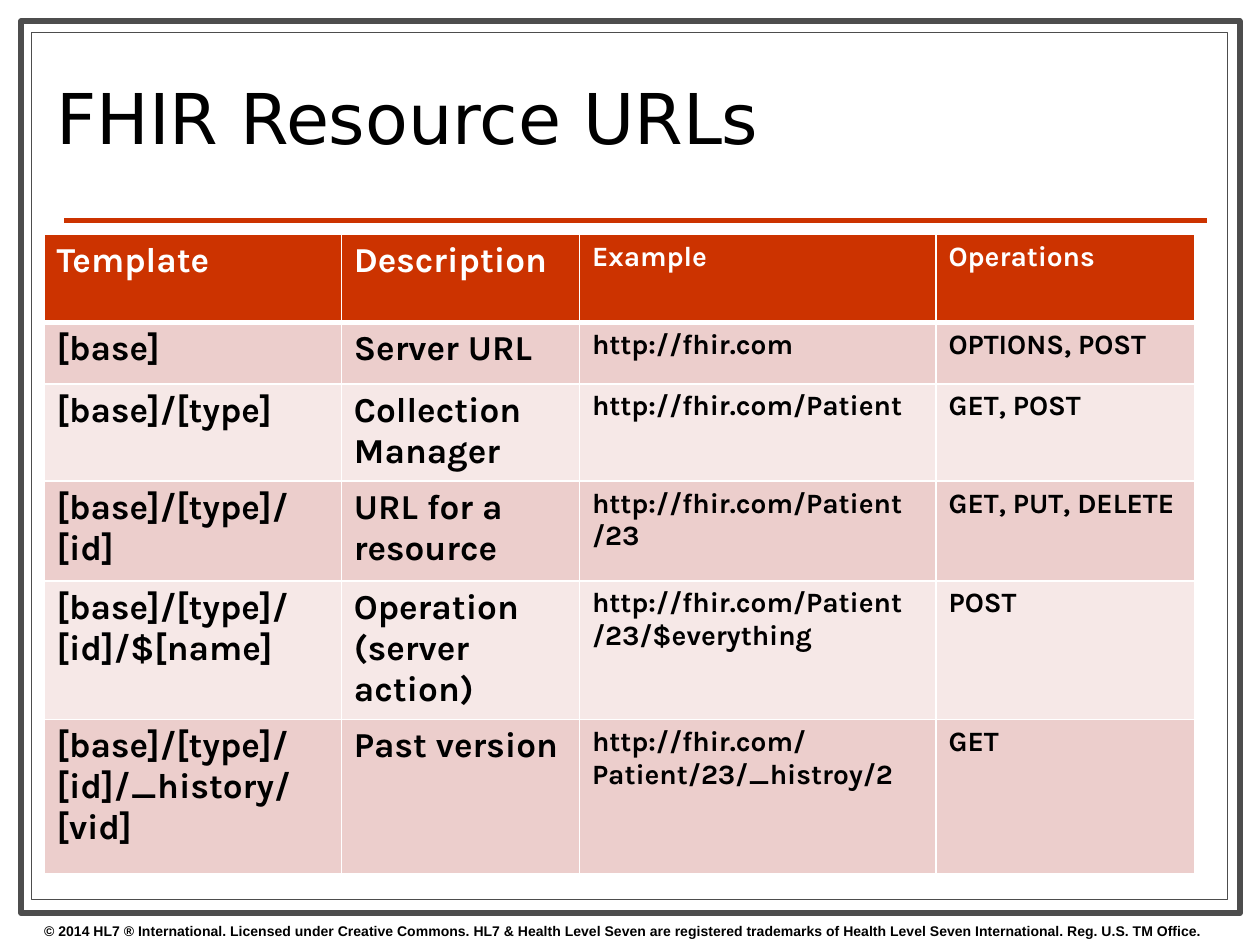
from dataclasses import dataclass
from typing import NamedTuple

from lxml.etree import SubElement
from pptx import Presentation
from pptx.dml.color import RGBColor
from pptx.enum.shapes import MSO_CONNECTOR, MSO_SHAPE
from pptx.enum.text import MSO_ANCHOR
from pptx.oxml.ns import qn
from pptx.util import Cm, Pt


class Box(NamedTuple):
    """A region of the slide, in centimetres."""
    left: float
    top: float
    width: float
    height: float

    def lengths(self):
        return [Cm(side) for side in self]


@dataclass(frozen=True)
class Theme:
    ink: str = "000000"
    paper: str = "FFFFFF"
    frame: str = "4D4D4D"
    accent: str = "CC3300"
    bands: tuple = ("ECCECC", "F6E8E7")
    title_font: str = "DejaVu Sans"
    table_font: str = "Karla"
    footer_font: str = "Arial"
    title_size: int = 40
    large_size: int = 20
    small_size: int = 16
    footer_size: int = 8


THEME = Theme()

COLUMN_WIDTHS = (5.99, 4.8, 7.19, 5.21)
ROW_HEIGHTS = (1.78, 1.24, 1.96, 2.01, 2.01, 3.1)
# "\n" starts a paragraph, "\v" breaks a line
URL_ROWS = (
    ("Template", "Description", "Example", "Operations"),
    ("[base]", "Server URL", "http://fhir.com", "OPTIONS, POST"),
    ("[base]/[type]", "Collection Manager", "http://fhir.com/Patient", "GET, POST"),
    ("[base]/[type]/[id]", "URL for a resource",
     "http://fhir.com/Patient\n/23", "GET, PUT, DELETE"),
    ("[base]/[type]/[id]/$[name]", "Operation (server action)",
     "http://fhir.com/Patient\v/23/$everything", "POST"),
    ("[base]/[type]/[id]/_history/[vid]", "Past version",
     "http://fhir.com/Patient/23/_histroy/2", "GET"),
)
COPYRIGHT = ("© 2014 HL7 ® International. Licensed under Creative Commons. "
             "HL7 & Health Level Seven are registered trademarks of "
             "Health Level Seven International. Reg. U.S. TM Office.")


def rgb(color):
    return RGBColor.from_string(color)


def write(frame, text, font, size, color, bold=False):
    frame.word_wrap = True
    frame.text = text
    for paragraph in frame.paragraphs:
        for run in paragraph.runs:
            run.font.name = font
            run.font.size = Pt(size)
            run.font.bold = bold
            run.font.color.rgb = rgb(color)


def add_frame(slide, box):
    """Double border: a thick outer and a thin inner rectangle."""
    inner = Box(box.left + 0.21, box.top + 0.23, box.width - 0.46, box.height - 0.5)
    for border_box, weight in ((box, 3.5), (inner, 0.75)):
        border = slide.shapes.add_shape(MSO_SHAPE.RECTANGLE, *border_box.lengths())
        border.shadow.inherit = False
        border.fill.solid()
        border.fill.fore_color.rgb = rgb(THEME.paper)
        border.line.color.rgb = rgb(THEME.frame)
        border.line.width = Pt(weight)


def add_heading(slide, box):
    """Title with the accent rule below it."""
    rule_left, rule_top = box.left + 0.41, box.top + 3.54
    rule = slide.shapes.add_connector(
        MSO_CONNECTOR.STRAIGHT, Cm(rule_left), Cm(rule_top),
        Cm(rule_left + 23.03), Cm(rule_top))
    rule.line.color.rgb = rgb(THEME.accent)
    rule.line.width = Pt(3)
    SubElement(rule._element.spPr, qn("a:effectLst"))

    title = slide.shapes.add_textbox(*box.lengths()).text_frame
    title.vertical_anchor = MSO_ANCHOR.MIDDLE
    write(title, "FHIR Resource URLs", THEME.title_font, THEME.title_size, THEME.ink)
    title.paragraphs[0].line_spacing = 0.8


def add_footer(slide, box):
    footer = slide.shapes.add_textbox(*box.lengths()).text_frame
    write(footer, COPYRIGHT, THEME.footer_font, THEME.footer_size, THEME.ink, bold=True)


def set_borders(cell, top, bottom):
    """White cell borders; must run before the cell fill is set."""
    properties = cell._tc.get_or_add_tcPr()
    for side, weight in (("L", 1), ("R", 1), ("T", top), ("B", bottom)):
        line = SubElement(properties, qn(f"a:ln{side}"), w=str(Pt(weight)))
        fill = SubElement(line, qn("a:solidFill"))
        SubElement(fill, qn("a:srgbClr"), val=THEME.paper)


def add_url_table(slide, box):
    table = slide.shapes.add_table(
        len(ROW_HEIGHTS), len(COLUMN_WIDTHS), *box.lengths()).table
    for column, width in zip(table.columns, COLUMN_WIDTHS):
        column.width = Cm(width)
    for row, height in zip(table.rows, ROW_HEIGHTS):
        row.height = Cm(height)

    for r, texts in enumerate(URL_ROWS):
        is_header = r == 0
        background = THEME.accent if is_header else THEME.bands[(r - 1) % 2]
        color = THEME.paper if is_header else THEME.ink
        for c, text in enumerate(texts):
            cell = table.cell(r, c)
            set_borders(cell, top=3 if r == 1 else 1, bottom=3 if is_header else 1)
            cell.fill.solid()
            cell.fill.fore_color.rgb = rgb(background)
            size = THEME.large_size if c < 2 else THEME.small_size
            write(cell.text_frame, text, THEME.table_font, size, color, bold=True)


def main():
    deck = Presentation()
    deck.slide_width, deck.slide_height = Cm(25.4), Cm(19.05)
    slide = deck.slides.add_slide(deck.slide_layouts[6])

    add_frame(slide, Box(0.43, 0.43, 24.56, 17.98))
    add_footer(slide, Box(0.64, 18.47, 25.4, 0.58))
    add_heading(slide, Box(0.89, 0.91, 18.21, 3.2))
    add_url_table(slide, Box(0.89, 4.72, sum(COLUMN_WIDTHS), sum(ROW_HEIGHTS)))

    deck.save("out.pptx")


if __name__ == "__main__":
    main()
